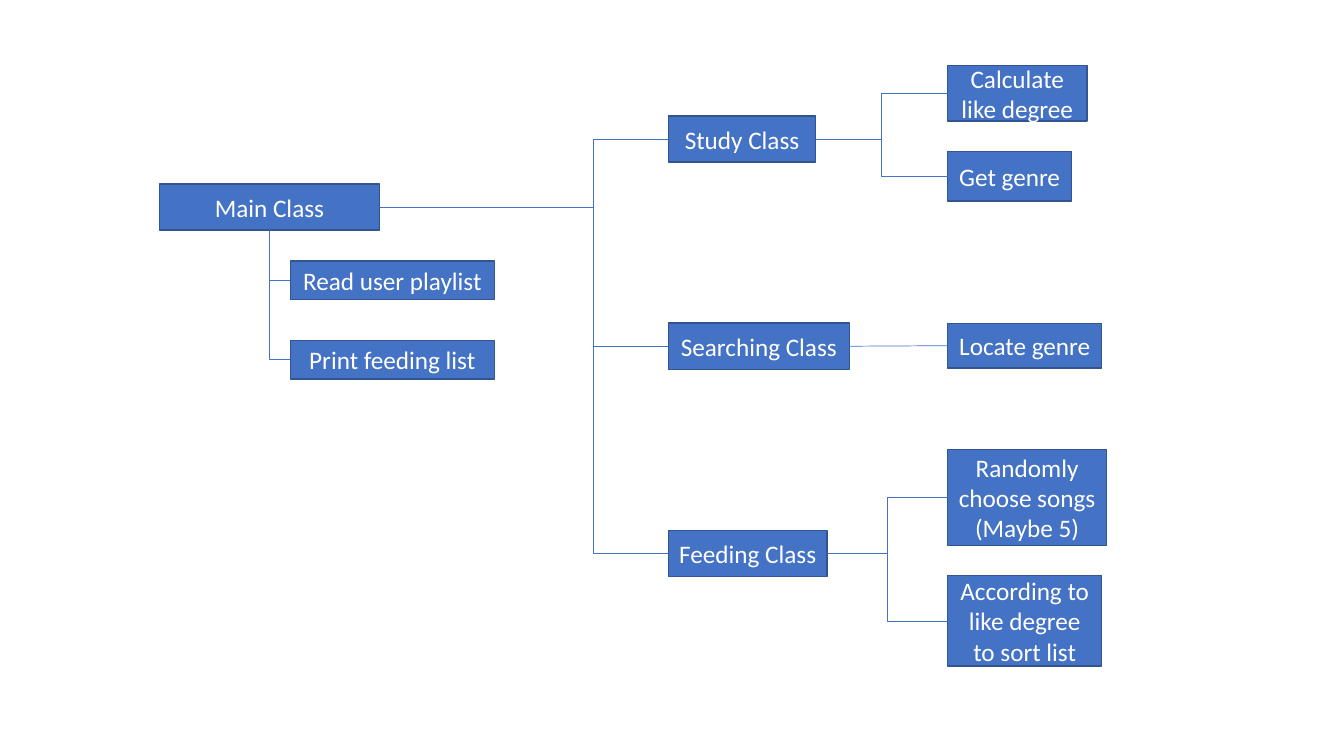
from dataclasses import dataclass

import lxml.etree
import pptx
import pptx.dml.color
import pptx.enum.shapes
import pptx.enum.text
import pptx.oxml.ns
import pptx.util

CONNECTOR = pptx.enum.shapes.MSO_CONNECTOR
BOTTOM, LEFT, RIGHT = 2, 1, 3
SLIDE_W = pptx.util.Inches(13.33)
SLIDE_H = pptx.util.Inches(7.5)


@dataclass(frozen=True)
class Theme:
    fill: str = "4472C4"
    border: str = "325491"
    text: str = "FFFFFF"
    font: str = "Calibri"
    text_pt: float = 18
    border_pt: float = 1
    link_pt: float = 0.5


@dataclass(frozen=True)
class Box:
    text: str
    left: float
    middle: float
    width: float
    height: float


@dataclass(frozen=True)
class Link:
    parent: str
    child: str
    bend: float = 0.5


THEME = Theme()
MAIN_X, STEP_X, CLASS_X, METHOD_X = 11.85, 21.6, 49.74, 70.52
CLASS_H = 6.1
STUDY_Y, SEARCHING_Y, FEEDING_Y = (18.4 + 27.4 * row for row in range(3))

BOXES = [
    Box("Main Class", MAIN_X, 27.4, 16.4, CLASS_H),
    Box("Read user playlist", STEP_X, 37.07, 15.2, 5.1),
    Box("Print feeding list", STEP_X, 47.6, 15.2, 5.1),
    Box("Study Class", CLASS_X, STUDY_Y, 10.95, CLASS_H),
    Box("Searching Class", CLASS_X, SEARCHING_Y, 13.45, CLASS_H),
    Box("Feeding Class", CLASS_X, FEEDING_Y, 11.8, CLASS_H),
    Box("Calculate like degree", METHOD_X, 12.33, 10.35, 7.33),
    Box("Get genre", METHOD_X, 23.33, 9.2, 6.53),
    Box("Locate genre", METHOD_X, 45.73, 11.45, 5.9),
    Box("Randomly choose songs (Maybe 5)", METHOD_X, 65.8, 11.8, 12.7),
    Box("According to like degree to sort list", METHOD_X, 82.13, 11.45, 12),
]

STEP_LINKS = [
    Link("Main Class", "Read user playlist"),
    Link("Main Class", "Print feeding list"),
]
BRANCH_LINKS = [
    Link("Main Class", "Study Class", 0.74),
    Link("Main Class", "Searching Class", 0.74),
    Link("Main Class", "Feeding Class", 0.74),
    Link("Study Class", "Get genre"),
    Link("Study Class", "Calculate like degree"),
    Link("Feeding Class", "Randomly choose songs (Maybe 5)"),
    Link("Feeding Class", "According to like degree to sort list"),
]
STRAIGHT_LINK = Link("Searching Class", "Locate genre")


def rgb(value: str) -> pptx.dml.color.RGBColor:
    return pptx.dml.color.RGBColor.from_string(value)


def across(share: float) -> int:
    return round(SLIDE_W * share / 100)


def down(share: float) -> int:
    return round(SLIDE_H * share / 100)


def draw_box(s: pptx.slide.Slide, box: Box) -> pptx.shapes.autoshape.Shape:
    sp = s.shapes.add_shape(
        pptx.enum.shapes.MSO_SHAPE.RECTANGLE,
        across(box.left), down(box.middle - box.height / 2),
        across(box.width), down(box.height),
    )
    sp.shadow.inherit = False
    sp.fill.solid()
    sp.fill.fore_color.rgb = rgb(THEME.fill)
    sp.line.color.rgb = rgb(THEME.border)
    sp.line.width = pptx.util.Pt(THEME.border_pt)
    tf = sp.text_frame
    tf.word_wrap = True
    tf.vertical_anchor = pptx.enum.text.MSO_ANCHOR.MIDDLE
    tf.text = box.text
    p = tf.paragraphs[0]
    p.alignment = pptx.enum.text.PP_ALIGN.CENTER
    font = p.runs[0].font
    font.name = THEME.font
    font.size = pptx.util.Pt(THEME.text_pt)
    font.color.rgb = rgb(THEME.text)
    return sp


def draw_link(
    s: pptx.slide.Slide, boxes: dict, link: Link, kind: CONNECTOR, start: int = RIGHT
) -> pptx.shapes.connector.Connector:
    cxn = s.shapes.add_connector(kind, 0, 0, 0, 0)
    cxn.begin_connect(boxes[link.parent], start)
    cxn.end_connect(boxes[link.child], LEFT)
    cxn.line.color.rgb = rgb(THEME.fill)
    cxn.line.width = pptx.util.Pt(THEME.link_pt)
    lxml.etree.SubElement(cxn._element.spPr, pptx.oxml.ns.qn("a:effectLst"))
    return cxn


def set_bend(cxn: pptx.shapes.connector.Connector, bend: float) -> None:
    geom = cxn._element.spPr.find(pptx.oxml.ns.qn("a:prstGeom"))
    guides = geom.find(pptx.oxml.ns.qn("a:avLst"))
    guide = lxml.etree.SubElement(guides, pptx.oxml.ns.qn("a:gd"))
    guide.set("name", "adj1")
    guide.set("fmla", f"val {round(bend * 100000)}")


def turn_into_corner(cxn: pptx.shapes.connector.Connector) -> None:
    left, top, width, height = cxn.left, cxn.top, cxn.width, cxn.height
    cxn.left = left + (width - height) // 2
    cxn.top = top + (height - width) // 2
    cxn.width, cxn.height = height, width
    props = cxn._element.spPr
    props.find(pptx.oxml.ns.qn("a:prstGeom")).set("prst", "bentConnector2")
    xfrm = props.find(pptx.oxml.ns.qn("a:xfrm"))
    xfrm.set("rot", str(270 * 60000))
    xfrm.set("flipH", "1")


prs = pptx.Presentation()
prs.slide_width, prs.slide_height = SLIDE_W, SLIDE_H
s = prs.slides.add_slide(prs.slide_layouts[6])
boxes = {box.text: draw_box(s, box) for box in BOXES}
for link in STEP_LINKS:
    turn_into_corner(draw_link(s, boxes, link, CONNECTOR.ELBOW, BOTTOM))
for link in BRANCH_LINKS:
    set_bend(draw_link(s, boxes, link, CONNECTOR.ELBOW), link.bend)
draw_link(s, boxes, STRAIGHT_LINK, CONNECTOR.STRAIGHT)
prs.save("out.pptx")
